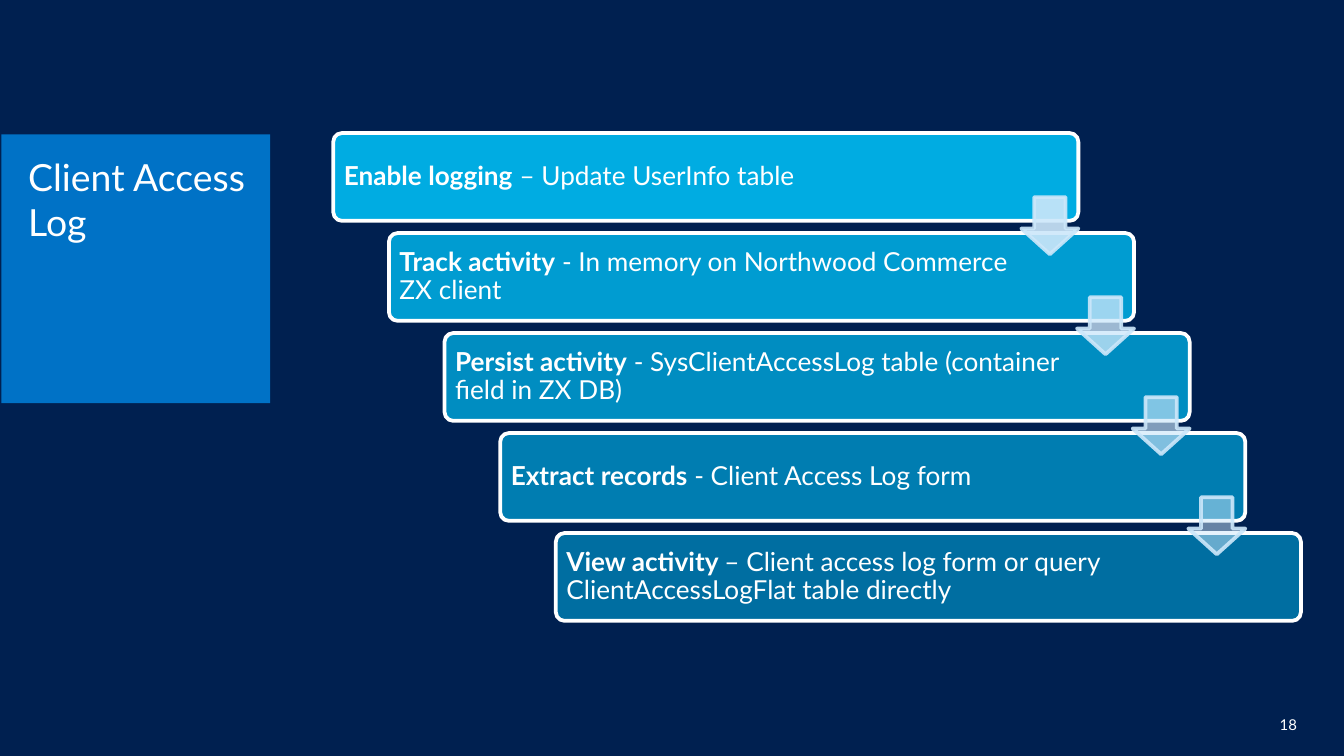
import pptx
import pptx.util
import pptx.dml.color
import pptx.enum.shapes
import pptx.enum.text
import pptx.oxml
import pptx.oxml.ns

WIDTH = 10
HEIGHT = WIDTH * 9 / 16
FONT = "Lato"
COLORS = {"navy": "002050", "blue": "0072C6", "cyan": "00BCF2",
          "pale": "CCE7FA", "white": "FFFFFF"}
STEPS = [
    ("Enable logging", " – Update UserInfo table"),
    ("Track activity", " - In memory on Northwood Commerce ZX client"),
    ("Persist activity", " - SysClientAccessLog table (container field in ZX DB)"),
    ("Extract records", " - Client Access Log form"),
    ("View activity ", "– Client access log form or query ClientAccessLogFlat table directly"),
]
ANCHOR = pptx.enum.text.MSO_ANCHOR
ALIGN = pptx.enum.text.PP_ALIGN
SHAPE = pptx.enum.shapes.MSO_SHAPE


def inches(*lengths):
    return [pptx.util.Inches(length) for length in lengths]


def paint(color_format, name, alpha=100):
    color_format.rgb = pptx.dml.color.RGBColor.from_string(COLORS[name])
    if alpha < 100:
        for srgb in color_format._xFill.iter(pptx.oxml.ns.qn("a:srgbClr")):
            opacity = pptx.oxml.parse_xml(
                f'<a:alpha {pptx.oxml.ns.nsdecls("a")} val="{round(alpha * 1000)}"/>')
            srgb.append(opacity)


def fill_solid(fill, name, alpha=100):
    fill.solid()
    paint(fill.fore_color, name, alpha)


def set_frame(frame, anchor, insets):
    frame.word_wrap = True
    frame.auto_size = pptx.enum.text.MSO_AUTO_SIZE.NONE
    frame.vertical_anchor = anchor
    (frame.margin_left, frame.margin_top,
     frame.margin_right, frame.margin_bottom) = inches(*insets)


def add_run(paragraph, text, size, bold=False):
    run = paragraph.add_run()
    run.text = text
    run.font.name = FONT
    run.font.size = pptx.util.Pt(size)
    run.font.bold = bold
    paint(run.font.color, "white")


def add_block(slide, kind, box, adjustments, fill, line):
    block = slide.shapes.add_shape(kind, *inches(*box))
    block.shadow.inherit = False
    for index, value in enumerate(adjustments):
        block.adjustments[index] = value
    fill_solid(block.fill, *fill)
    fill_solid(block.line.fill, *line)
    block.line.width = pptx.util.Pt(2)
    return block


def place_title(slide, box):
    title = slide.shapes.title
    title.left, title.top, title.width, title.height = inches(*box)
    fill_solid(title.fill, "blue")
    set_frame(title.text_frame, ANCHOR.TOP, (0.2, 0.15, 0.1, 0.05))
    heading = title.text_frame.paragraphs[0]
    heading.alignment = ALIGN.LEFT
    add_run(heading, "Client Access Log", 20)


def place_page_number(slide, box):
    number = slide.shapes.add_textbox(*inches(*box))
    set_frame(number.text_frame, ANCHOR.BOTTOM, (0.1, 0.05, 0.1, 0.05))
    paragraph = number.text_frame.paragraphs[0]
    paragraph.alignment = ALIGN.RIGHT
    add_run(paragraph, "18", 8)


def place_staircase(slide, box):
    left, top, width, height = box
    bar_width, bar_height = width * 0.77, height * 0.18
    gaps = len(STEPS) - 1
    shift = (width - bar_width) / gaps
    drop = (height - bar_height) / gaps
    arrow = bar_height * 0.65
    corners = [(left + i * shift, top + i * drop) for i in range(len(STEPS))]

    for i, ((x, y), (name, detail)) in enumerate(zip(corners, STEPS)):
        bar = add_block(slide, SHAPE.ROUNDED_RECTANGLE, (x, y, bar_width, bar_height),
                        [0.1], ("cyan", 90 - 10 * i), ("white",))
        set_frame(bar.text_frame, ANCHOR.MIDDLE, (0.06, 0.06, 0.9, 0.06))
        paragraph = bar.text_frame.paragraphs[0]
        paragraph.alignment = ALIGN.LEFT
        paragraph.line_spacing = 0.9
        add_run(paragraph, name, 14, True)
        add_run(paragraph, detail, 14)

    for i, (x, y) in enumerate(corners[:-1]):
        add_block(slide, SHAPE.DOWN_ARROW,
                  (x + bar_width - arrow, y + bar_height * 0.73, arrow, arrow),
                  [0.55, 0.45], ("pale", 90 - 40 * i / (gaps - 1)), ("pale", 90))


def build_process_slide(deck):
    slide = deck.slides.add_slide(deck.slide_layouts[5])
    fill_solid(slide.background.fill, "navy")
    place_title(slide, (0.01, 1, WIDTH * 0.2, WIDTH * 0.2))
    place_page_number(slide, (7.42, 5.21, 2.33, 0.3))
    place_staircase(slide, (2.48, 0.99, WIDTH * 0.72, 3.63))


deck = pptx.Presentation()
deck.slide_width, deck.slide_height = inches(WIDTH, HEIGHT)
build_process_slide(deck)
deck.save("out.pptx")
